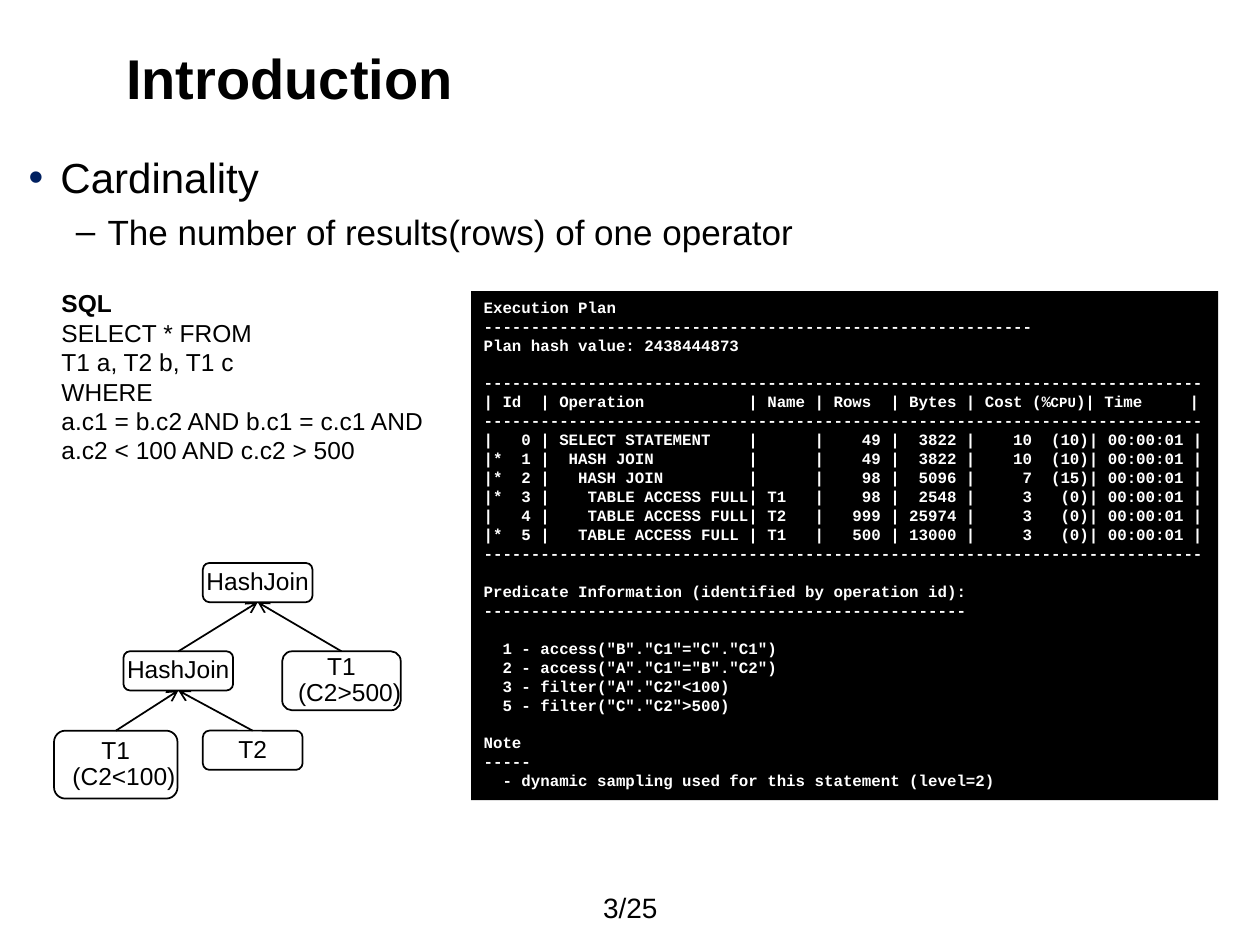
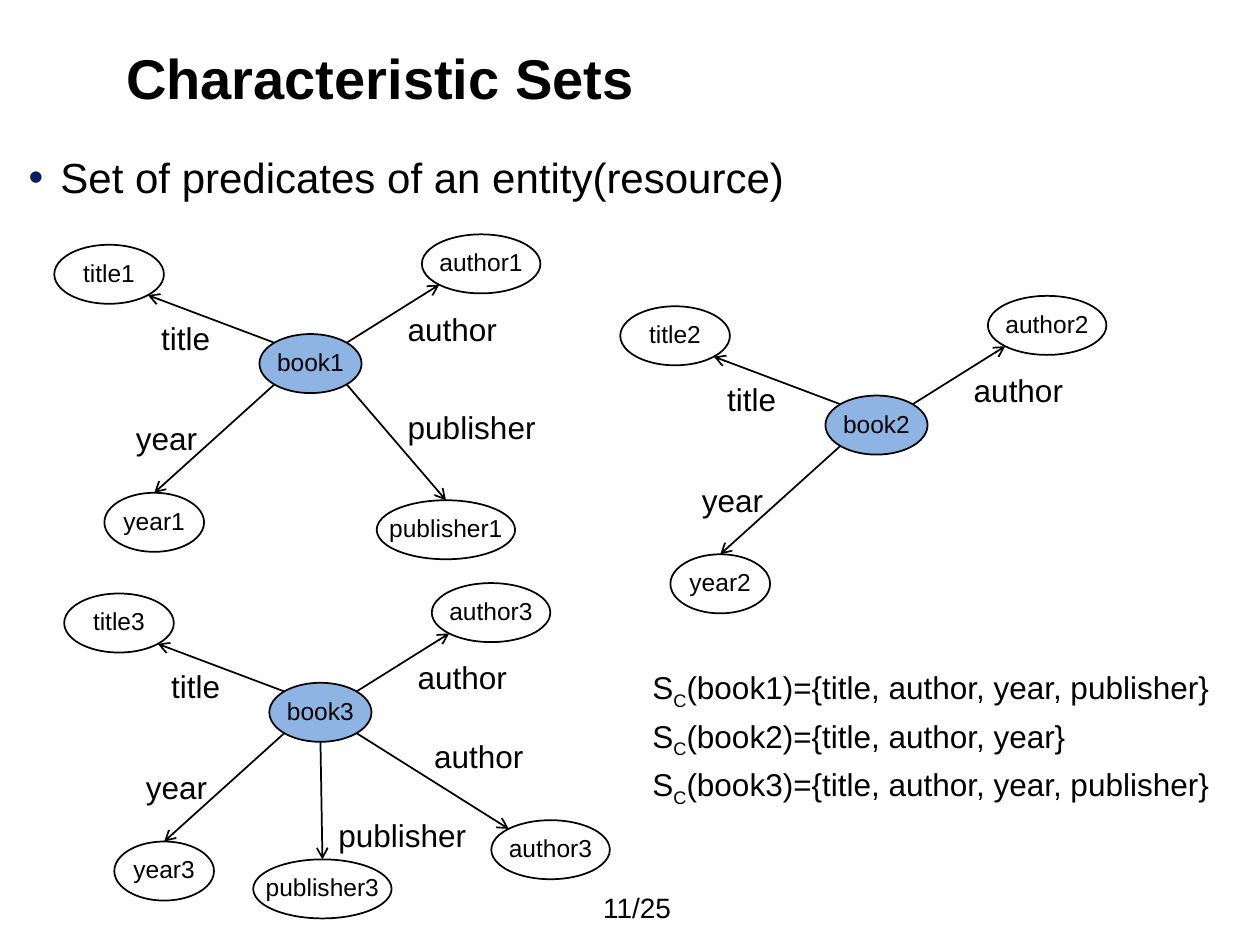
from dataclasses import dataclass
from math import sqrt

from lxml.etree import SubElement
from pptx import Presentation
from pptx.dml.color import RGBColor
from pptx.enum.shapes import MSO_CONNECTOR, MSO_SHAPE
from pptx.enum.text import MSO_ANCHOR, MSO_AUTO_SIZE, PP_ALIGN
from pptx.oxml.ns import qn
from pptx.util import Cm, Pt


@dataclass(frozen=True)
class Theme:
    sans: str = "Arial"
    mono: str = "Courier New"
    ink: RGBColor = RGBColor(0x00, 0x00, 0x00)
    paper: RGBColor = RGBColor(0xFF, 0xFF, 0xFF)
    bullet: RGBColor = RGBColor(0x00, 0x20, 0x60)
    book: RGBColor = RGBColor(0x8E, 0xB4, 0xE3)
    title_size: int = 32
    point_size: int = 24
    subpoint_size: int = 20
    label_size: int = 18
    page_size: int = 16
    node_size: int = 14
    code_size: int = 9
    small_code_size: int = 8
    line_width: int = 1


THEME = Theme()
PAGE_COUNT = 25
NODE_HEIGHT = 1.19
BOOK_WIDTH = 2.06

SQL_LINES = (
    "SELECT * FROM",
    "T1 a, T2 b, T1 c",
    "WHERE",
    "a.c1 = b.c2 AND b.c1 = c.c1 AND",
    "a.c2 < 100 AND c.c2 > 500",
)

TABLE_RULE = "-" * 76
EXECUTION_PLAN = (
    "Execution Plan",
    "-" * 58,
    "Plan hash value: 2438444873",
    "",
    TABLE_RULE,
    "| Id  | Operation           | Name | Rows  | Bytes | Cost (%CPU)| Time     |",
    TABLE_RULE,
    "|   0 | SELECT STATEMENT    |      |    49 |  3822 |    10  (10)| 00:00:01 |",
    "|*  1 |  HASH JOIN          |      |    49 |  3822 |    10  (10)| 00:00:01 |",
    "|*  2 |   HASH JOIN         |      |    98 |  5096 |     7  (15)| 00:00:01 |",
    "|*  3 |    TABLE ACCESS FULL| T1   |    98 |  2548 |     3   (0)| 00:00:01 |",
    "|   4 |    TABLE ACCESS FULL| T2   |   999 | 25974 |     3   (0)| 00:00:01 |",
    "|*  5 |   TABLE ACCESS FULL | T1   |   500 | 13000 |     3   (0)| 00:00:01 |",
    TABLE_RULE,
    "",
    "Predicate Information (identified by operation id):",
    "-" * 51,
    "",
    '  1 - access("B"."C1"="C"."C1")',
    '  2 - access("A"."C1"="B"."C2")',
    '  3 - filter("A"."C2"<100)',
    '  5 - filter("C"."C2">500)',
    "",
    "Note",
    "-" * 5,
    "  - dynamic sampling used for this statement (level=2)",
)


@dataclass(frozen=True)
class Spoke:
    """An arrow from a book to a value; offsets in cm from the book's centre,
    start and end as (horizontal, vertical) directions on the ellipses."""
    predicate: str
    value_offset: tuple
    label_offset: tuple
    start: tuple
    end: tuple


VALUE_WIDTHS = {"title": 2.21, "year": 2.01, "publisher": 2.79, "author": 2.39}
LABEL_WIDTHS = {"title": 1.5, "year": 1.75, "publisher": 3.12, "author": 2.34}

TITLE = Spoke("title", (-4.06, -1.8), (-3.26, -1.03), (-1, -1), (1, 1))
YEAR = Spoke("year", (-3.15, 3.2), (-3.77, 1), (-1, 1), (0, -1))
AUTHOR = Spoke("author", (3.44, -2.01), (1.71, -1.21), (1, -1), (-1, 1))
PUBLISHER = Spoke("publisher", (2.73, 3.35), (1.71, 0.77), (1, 1), (0, -1))
PUBLISHER_BELOW = Spoke("publisher", (0.04, 3.56), (0.11, 1.97), (0, 1), (0, -1))
SECOND_AUTHOR = Spoke("author", (4.64, 2.77), (2.04, 0.37), (1, 1), (-1, -1))

BOOKS = (
    (1, (6.26, 7.33), (TITLE, YEAR, PUBLISHER, AUTHOR)),
    (2, (17.67, 8.57), (TITLE, YEAR, AUTHOR)),
    (3, (6.46, 14.36), (TITLE, YEAR, PUBLISHER_BELOW, AUTHOR, SECOND_AUTHOR)),
)

CHARACTERISTIC_SETS = (
    ("(book1)={title, author, year, publisher}", 12.04),
    ("(book2)={title, author, year}", 8.97),
    ("(book3)={title, author, year, publisher}", 12.04),
)


# Text
def add_run(paragraph, text, size, bold=False, color=THEME.ink, font=THEME.sans):
    run = paragraph.add_run()
    run.text = text
    run.font.name = font
    run.font.size = Pt(size)
    run.font.bold = bold
    run.font.color.rgb = color
    return run


def add_text_box(slide, left, top, width, height, wrap=True):
    box = slide.shapes.add_textbox(Cm(left), Cm(top), Cm(width), Cm(height))
    box.text_frame.word_wrap = wrap
    return box.text_frame


def add_label(slide, text, left, top, width):
    frame = add_text_box(slide, left, top, width, 1.02, wrap=False)
    add_run(frame.paragraphs[0], text, THEME.label_size)


def set_indent(paragraph, margin, hanging):
    properties = paragraph._p.get_or_add_pPr()
    properties.set("marL", str(Cm(margin)))
    properties.set("indent", str(-Cm(hanging)))
    return properties


def add_bullet(paragraph, text, character, color, margin, size):
    properties = set_indent(paragraph, margin, 0.64)
    bullet_color = SubElement(properties, qn("a:buClr"))
    SubElement(bullet_color, qn("a:srgbClr"), val=str(color))
    SubElement(properties, qn("a:buFont"), typeface=THEME.sans)
    SubElement(properties, qn("a:buChar"), char=character)
    add_run(paragraph, text, size)


# Slide frame: title, bullets and page number
def add_content_slide(presentation, title, page, point, subpoint=None):
    slide = presentation.slides.add_slide(presentation.slide_layouts[5])
    holder = slide.shapes.title
    holder.left, holder.top = Cm(2.29), Cm(0.74)
    holder.width, holder.height = Cm(21.06), Cm(1.63)
    frame = holder.text_frame
    frame.auto_size = MSO_AUTO_SIZE.NONE
    frame.vertical_anchor = MSO_ANCHOR.MIDDLE
    frame.paragraphs[0].alignment = PP_ALIGN.LEFT
    add_run(frame.paragraphs[0], title, THEME.title_size, bold=True)

    body = add_text_box(slide, 0.58, 3.06, 24.2, 13.8)
    body.margin_left = body.margin_right = body.margin_top = body.margin_bottom = 0
    add_bullet(body.paragraphs[0], point, "•", THEME.bullet, 0.64, THEME.point_size)
    if subpoint:
        paragraph = body.add_paragraph()
        add_bullet(paragraph, subpoint, "–", THEME.ink, 1.59, THEME.subpoint_size)
        paragraph.space_before = Pt(5)

    footer = add_text_box(slide, 11.91, 17.93, 2.18, 0.74)
    footer.vertical_anchor = MSO_ANCHOR.MIDDLE
    add_run(footer.paragraphs[0], f"{page}/{PAGE_COUNT}", THEME.page_size)
    return slide


# Diagram parts
def add_node(slide, preset, text, left, top, width, height, fill=None):
    shape = slide.shapes.add_shape(preset, Cm(left), Cm(top), Cm(width), Cm(height))
    shape.shadow.inherit = False
    if fill is None:
        shape.fill.background()
    else:
        shape.fill.solid()
        shape.fill.fore_color.rgb = fill
    shape.line.color.rgb = THEME.ink
    shape.line.width = Pt(THEME.line_width)
    frame = shape.text_frame
    frame.word_wrap = False
    frame.vertical_anchor = MSO_ANCHOR.MIDDLE
    paragraph = frame.paragraphs[0]
    paragraph.alignment = PP_ALIGN.CENTER
    paragraph.line_spacing = 0.9
    set_indent(paragraph, 0.33, 0.33)
    for index, line in enumerate(text.split("\n")):
        if index:
            paragraph.add_line_break()
        add_run(paragraph, line, THEME.node_size)
    return shape


def add_ellipse(slide, text, center, width, fill=None):
    left, top = center[0] - width / 2, center[1] - NODE_HEIGHT / 2
    return add_node(slide, MSO_SHAPE.OVAL, text, left, top, width, NODE_HEIGHT, fill)


def add_arrow(slide, start, end):
    connector = slide.shapes.add_connector(MSO_CONNECTOR.STRAIGHT, *start, *end)
    connector.line.color.rgb = THEME.ink
    connector.line.width = Pt(THEME.line_width)
    SubElement(connector.line._get_or_add_ln(), qn("a:tailEnd"), type="arrow")
    SubElement(connector._element.spPr, qn("a:effectLst"))
    return connector


def rim_point(ellipse, direction):
    horizontal, vertical = direction
    reach = 1 / sqrt(horizontal ** 2 + vertical ** 2)
    return (round(ellipse.left + ellipse.width / 2 * (1 + reach * horizontal)),
            round(ellipse.top + ellipse.height / 2 * (1 + reach * vertical)))


def add_book_graph(slide, number, center, spokes):
    book = add_ellipse(slide, f"book{number}", center, BOOK_WIDTH, THEME.book)
    center_x, center_y = center
    for spoke in spokes:
        name = spoke.predicate
        value_x, value_y = spoke.value_offset
        value = add_ellipse(slide, f"{name}{number}",
                            (center_x + value_x, center_y + value_y), VALUE_WIDTHS[name])
        arrow = add_arrow(slide, rim_point(book, spoke.start), rim_point(value, spoke.end))
        if spoke.end == (0, -1):
            arrow.end_connect(value, 0)
        label_x, label_y = spoke.label_offset
        add_label(slide, name, center_x + label_x, center_y + label_y, LABEL_WIDTHS[name])


def add_join_tree(slide):
    def operator(text, left, top, width, height=0.79):
        return add_node(slide, MSO_SHAPE.ROUNDED_RECTANGLE, text, left, top, width, height)

    first_scan = operator("T1\n(C2<100)", 1.09, 14.73, 2.49, 1.37)
    second_scan = operator("T2", 4.09, 14.73, 2.01)
    third_scan = operator("T1\n(C2>500)", 5.69, 13.13, 2.39, 1.19)
    inner_join = operator("HashJoin", 2.49, 13.13, 2.21)
    root_join = operator("HashJoin", 4.09, 11.35, 2.21)
    for child, parent in ((first_scan, inner_join), (second_scan, inner_join),
                          (inner_join, root_join), (third_scan, root_join)):
        arrow = add_arrow(slide, (0, 0), (0, 0))
        arrow.begin_connect(child, 0)
        arrow.end_connect(parent, 2)


def add_sql(slide):
    frame = add_text_box(slide, 0.99, 5.69, 7.9, 3.84)
    add_run(frame.paragraphs[0], "SQL", THEME.node_size, bold=True)
    for line in SQL_LINES:
        add_run(frame.add_paragraph(), line, THEME.node_size)


def add_terminal(slide):
    terminal = slide.shapes.add_shape(
        MSO_SHAPE.RECTANGLE, Cm(9.5), Cm(5.87), Cm(15.06), Cm(10.26))
    terminal.shadow.inherit = False
    terminal.fill.solid()
    terminal.fill.fore_color.rgb = THEME.ink
    terminal.line.fill.background()
    frame = terminal.text_frame
    frame.word_wrap = True
    frame.vertical_anchor = MSO_ANCHOR.TOP
    paragraph = frame.paragraphs[0]
    paragraph.alignment = PP_ALIGN.LEFT
    for index, line in enumerate(EXECUTION_PLAN):
        if index:
            paragraph.add_line_break()
        before, unit, after = line.partition("CPU")
        for text, size in ((before, THEME.code_size), (unit, THEME.small_code_size),
                           (after, THEME.code_size)):
            if text:
                add_run(paragraph, text, size, True, THEME.paper, THEME.mono)
    # Blank lines take their height from the break itself
    for line_break in paragraph._p.findall(qn("a:br")):
        SubElement(line_break, qn("a:rPr"), sz=str(THEME.code_size * 100))


def add_characteristic_sets(slide):
    for row, (definition, width) in enumerate(CHARACTERISTIC_SETS):
        frame = add_text_box(slide, 12.9, 13.34 + 0.98 * row, width, 1.02, wrap=False)
        paragraph = frame.paragraphs[0]
        add_run(paragraph, "S", THEME.label_size)
        subscript = add_run(paragraph, "C", THEME.label_size)
        subscript._r.get_or_add_rPr().set("baseline", "-25000")
        add_run(paragraph, definition, THEME.label_size)


def main():
    presentation = Presentation()
    presentation.slide_width, presentation.slide_height = Cm(25.4), Cm(19.05)

    # Cardinality of a query plan
    slide = add_content_slide(presentation, "Introduction", 3, "Cardinality",
                              "The number of results(rows) of one operator")
    add_terminal(slide)
    add_sql(slide)
    add_join_tree(slide)

    # Books and their predicates
    slide = add_content_slide(presentation, "Characteristic Sets", 11,
                              "Set of predicates of an entity(resource)")
    for number, center, spokes in BOOKS:
        add_book_graph(slide, number, center, spokes)
    add_characteristic_sets(slide)

    presentation.save("out.pptx")


if __name__ == "__main__":
    main()
